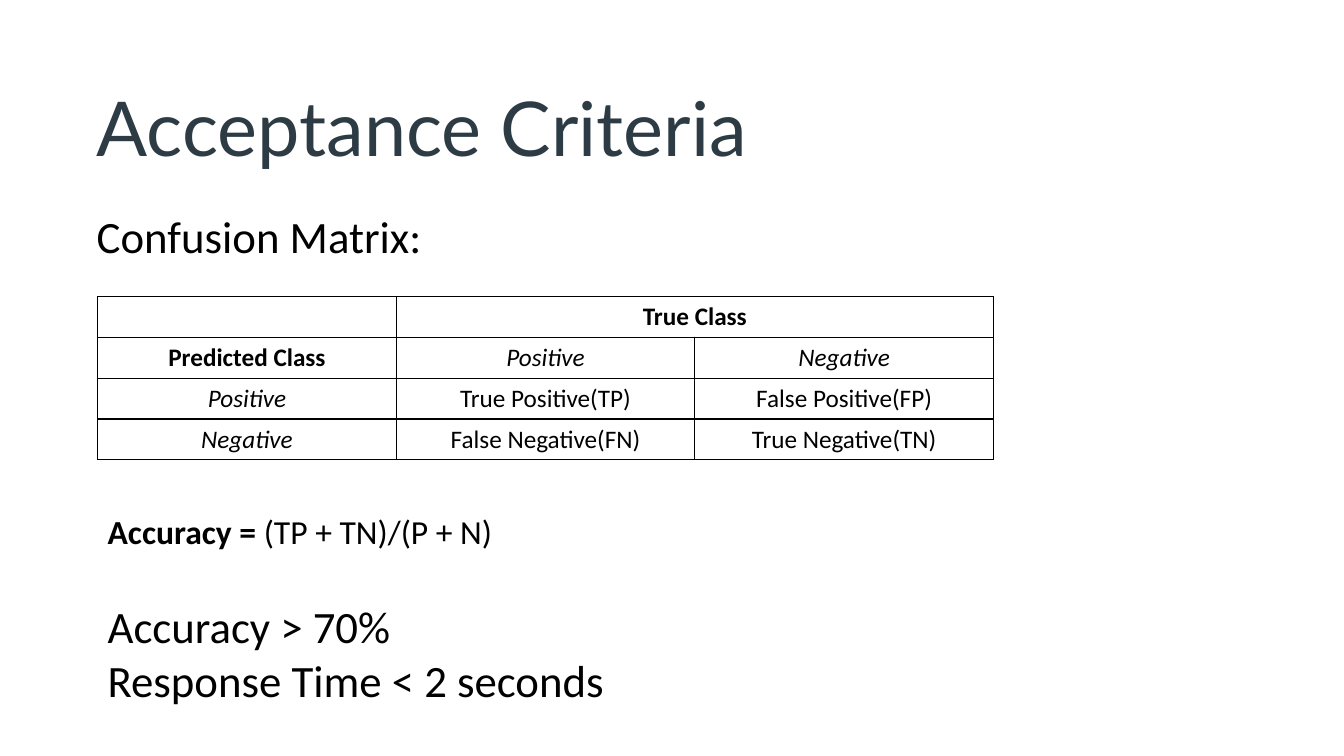
"""Build the acceptance criteria slide with its confusion matrix."""
from lxml.etree import SubElement
from pptx import Presentation
from pptx.dml.color import RGBColor as RGB
from pptx.enum.text import PP_ALIGN as ALIGN
from pptx.oxml.ns import qn
from pptx.util import Pt

COLORS = {"title": "2D3B45", "text": "000000", "border": "000000"}
BODY_FONT = "Calibri"
MATRIX = [
    ["", "True Class", ""],
    ["Predicted Class", "Positive", "Negative"],
    ["Positive", "True Positive(TP)", "False Positive(FP)"],
    ["Negative", "False Negative(FN)", "True Negative(TN)"],
]
HEADINGS = {"True Class", "Predicted Class"}
CLASSES = {"Positive", "Negative"}
COLUMN_WIDTH, ROW_HEIGHT = 213.3, 29.2


def style_font(font, size, name=BODY_FONT, color="text"):
    """Set the size, typeface and colour of a font."""
    font.size, font.name = Pt(size), name
    font.color.rgb = RGB.from_string(COLORS[color])


def add_text(slide, box, lines, size, name=BODY_FONT, color="text"):
    """Add a text box whose lines are lists of (text, bold) pairs."""
    frame = slide.shapes.add_textbox(*map(Pt, box)).text_frame
    frame.word_wrap = True
    for index, line in enumerate(lines):
        paragraph = frame.add_paragraph() if index else frame.paragraphs[0]
        style_font(paragraph.font, size, name, color)
        for text, bold in line:
            run = paragraph.add_run()
            run.text = text
            if bold:
                run.font.bold = True


def add_borders(cell):
    """Draw a thin solid line on every side of a table cell."""
    properties = cell._tc.get_or_add_tcPr()
    for side in ("a:lnL", "a:lnR", "a:lnT", "a:lnB"):
        line = SubElement(properties, qn(side), w=str(Pt(1)))
        fill = SubElement(line, qn("a:solidFill"))
        SubElement(fill, qn("a:srgbClr"), val=COLORS["border"])


def add_matrix(slide, left, top):
    """Add the confusion matrix with its merged class heading."""
    rows, columns = len(MATRIX), len(MATRIX[0])
    box = (left, top, columns * COLUMN_WIDTH, rows * ROW_HEIGHT)
    matrix = slide.shapes.add_table(rows, columns, *map(Pt, box)).table
    matrix.first_row = matrix.horz_banding = False
    for row, labels in enumerate(MATRIX):
        for column, label in enumerate(labels):
            cell = matrix.cell(row, column)
            cell.text = label
            paragraph = cell.text_frame.paragraphs[0]
            paragraph.alignment = ALIGN.CENTER
            style_font(paragraph.font, 18)
            paragraph.font.bold = label in HEADINGS
            paragraph.font.italic = label in CLASSES
            add_borders(cell)
            cell.fill.background()
    matrix.cell(0, 1).merge(matrix.cell(0, 2))


def main():
    """Assemble and save the slide."""
    deck = Presentation()
    deck.slide_width, deck.slide_height = Pt(960), Pt(540)
    slide = deck.slides.add_slide(deck.slide_layouts[6])
    add_text(slide, (62, 54, 526, 73), [[("Acceptance Criteria", False)]],
             54, "Lato", "title")
    add_text(slide, (62, 145.5, 828, 148), [[("Confusion Matrix:", False)]], 32)
    add_matrix(slide, 69.8, 211.7)
    add_text(slide, (69.8, 361.5, 464, 36),
             [[("Accuracy = ", True), ("(TP + TN)/(P + N)", False)]], 24)
    add_text(slide, (69.8, 424, 863, 85),
             [[("Accuracy > 70%", False)],
              [("Response Time < 2 seconds", False)]], 32)
    deck.save("out.pptx")


main()
